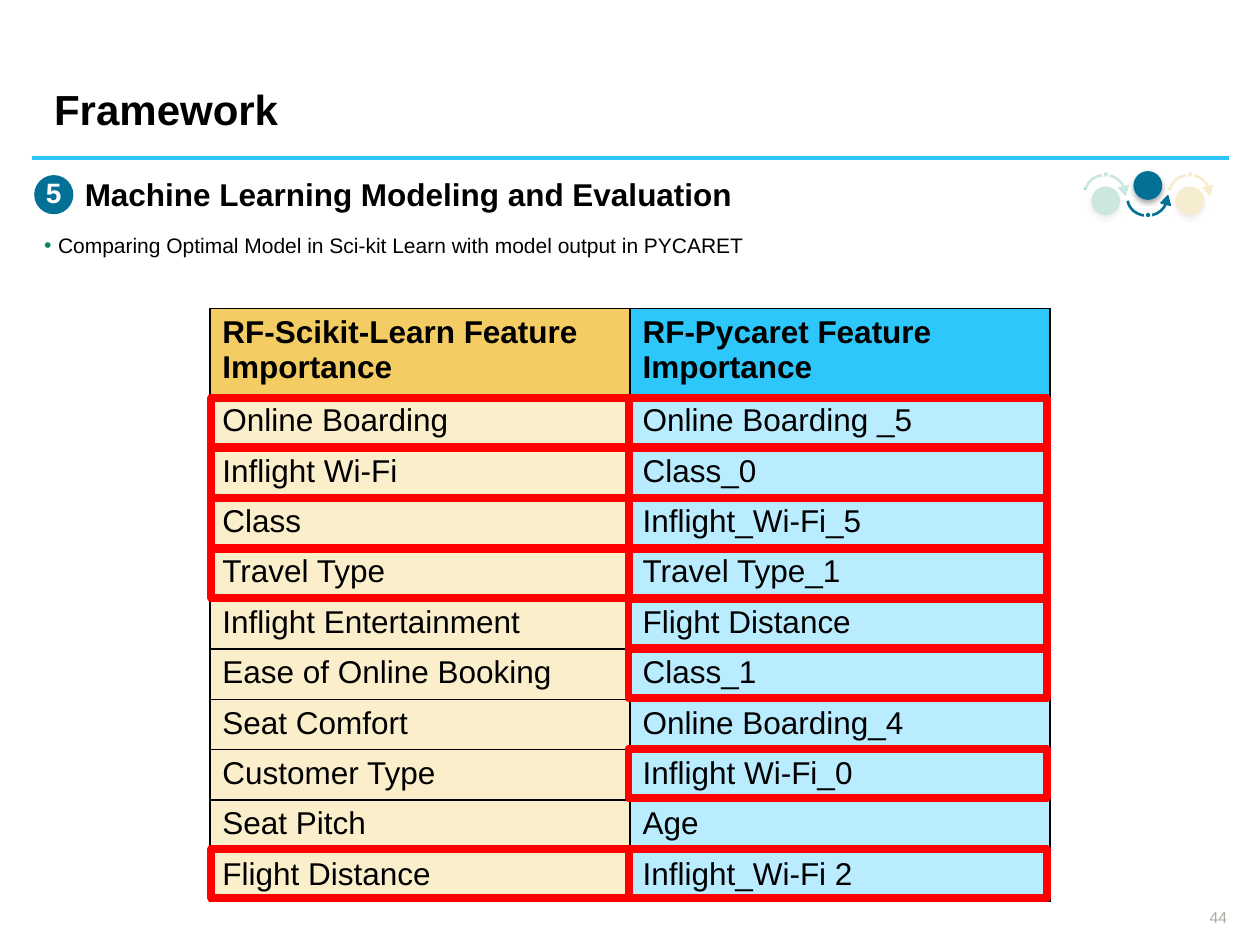
from lxml import etree
from pptx import Presentation
from pptx.dml.color import RGBColor
from pptx.enum import shapes, text
from pptx.oxml import parse_xml
from pptx.oxml.ns import nsdecls, qn
from pptx.util import Cm, Pt

COLORS = {
    "black": "000000", "white": "FFFFFF", "gray": "ADABA1", "red": "FF0000",
    "sky": "2DC5FA", "blue": "037196", "green": "048962", "gold": "D5A111",
    "sklearn_head": "F3CD63", "sklearn_body": "FBEECB",
    "pycaret_head": "2DC7FB", "pycaret_body": "B9ECFE",
}
ROWS = [
    ("RF-Scikit-Learn Feature Importance", "RF-Pycaret Feature Importance"),
    ("Online Boarding", "Online Boarding _5"),
    ("Inflight Wi-Fi", "Class_0"),
    ("Class", "Inflight_Wi-Fi_5"),
    ("Travel Type", "Travel Type_1"),
    ("Inflight Entertainment", "Flight Distance"),
    ("Ease of Online Booking", "Class_1"),
    ("Seat Comfort", "Online Boarding_4"),
    ("Customer Type", "Inflight Wi-Fi_0"),
    ("Seat Pitch", "Age"),
    ("Flight Distance", "Inflight_Wi-Fi 2"),
]
MATCHED_ROWS = [(1, 2, 3, 4, 10), (1, 2, 3, 4, 5, 6, 8, 10)]


def add_preset(kind, left, top, width, height, fill=None, line=None, weight=1):
    """Add a preset shape, measured in cm, without fill or line unless named."""
    shape = slide.shapes.add_shape(kind, Cm(left), Cm(top), Cm(width), Cm(height))
    shape.shadow.inherit = False
    if fill:
        shape.fill.solid()
        shape.fill.fore_color.rgb = RGBColor.from_string(COLORS[fill])
    else:
        shape.fill.background()
    if line:
        shape.line.color.rgb = RGBColor.from_string(COLORS[line])
        shape.line.width = Pt(weight)
    else:
        shape.line.fill.background()
    return shape


def write(frame, words, size, color="black", bold=False, spacing=0.9,
          align=text.PP_ALIGN.LEFT, anchor=text.MSO_ANCHOR.TOP,
          margins=(0, 0, 0, 0), wrap=True):
    """Put one run in a text frame; margins are left, top, right, bottom in cm."""
    frame.auto_size = text.MSO_AUTO_SIZE.NONE
    frame.word_wrap = wrap
    frame.vertical_anchor = anchor
    (frame.margin_left, frame.margin_top,
     frame.margin_right, frame.margin_bottom) = map(Cm, margins)
    paragraph = frame.paragraphs[0]
    paragraph.alignment = align
    paragraph.line_spacing = spacing
    paragraph.space_before = Pt(0)
    run = paragraph.add_run()
    run.text = words
    run.font.name = "Arial"
    run.font.size = Pt(size)
    run.font.bold = bold
    run.font.color.rgb = RGBColor.from_string(COLORS[color])
    return paragraph


prs = Presentation()
prs.slide_width, prs.slide_height = Cm(25.4), Cm(19.05)
slide = prs.slides.add_slide(prs.slide_layouts[1])

# Title, rule and page number
title = slide.shapes.title
title.left, title.top, title.width, title.height = Cm(1.09), Cm(1.8), Cm(21.13), Cm(0.94)
write(title.text_frame, "Framework", 24, bold=True)

rule = slide.shapes.add_connector(
    shapes.MSO_CONNECTOR.STRAIGHT, Cm(0.64), Cm(3.18), Cm(24.77), Cm(3.18))
rule.line.color.rgb = RGBColor.from_string(COLORS["sky"])
rule.line.width = Pt(2.25)
etree.SubElement(rule._element.spPr, qn("a:effectLst"))

page_number = slide.shapes.add_textbox(Cm(24), Cm(18.31), Cm(0.74), Cm(0.38))
write(page_number.text_frame, "44", 9, "gray", spacing=1, wrap=False,
      align=text.PP_ALIGN.RIGHT, anchor=text.MSO_ANCHOR.BOTTOM)

# Progress icon: side steps faded by a veil, current step raised between them
# Tuple: color, ball left, then tops of ball, arc, arrowhead and dot
STEPS = [
    ("green", 22, 3.76, 3.53, 3.76, 3.45),
    ("gold", 23.7, 3.76, 3.53, 3.76, 3.45),
    ("blue", 22.85, 3.45, 3.66, 3.94, 4.27),
]
for color, left, ball_top, arc_top, head_top, dot_top in STEPS:
    current = color == "blue"
    ball = add_preset(shapes.MSO_SHAPE.OVAL, left, ball_top, 0.58, 0.58, color)
    ball._element.spPr.find(qn("a:effectLst")).append(parse_xml(
        f'<a:outerShdw {nsdecls("a")} blurRad="39370" dist="22860" dir="5400000">'
        '<a:srgbClr val="000000"><a:alpha val="35000"/></a:srgbClr></a:outerShdw>'))
    arc = add_preset(shapes.MSO_SHAPE.ARC, left - 0.12, arc_top, 0.79, 0.69,
                     line=color, weight=1.5)
    arc.adjustments[0], arc.adjustments[1] = (5.25, 104.21) if current else (111.79, 210.75)
    head = add_preset(shapes.MSO_SHAPE.ISOSCELES_TRIANGLE, left + 0.57, head_top,
                      0.2, 0.18, color, color, 0.75)
    head.rotation = 14.5 if current else 165.5
    add_preset(shapes.MSO_SHAPE.OVAL, left + 0.23, dot_top, 0.13, 0.13, color, "white")
    if not current:
        veil = add_preset(shapes.MSO_SHAPE.RECTANGLE, left - 0.13, 3.4, 0.92, 1.07, "white")
        veil_color = veil._element.spPr.find(qn("a:solidFill"))[0]
        etree.SubElement(veil_color, qn("a:alpha"), val="80000")

# Numbered section heading
heading = slide.shapes.add_textbox(Cm(0.69), Cm(3.61), Cm(19), Cm(0.69))
write(heading.text_frame, "Machine Learning Modeling and Evaluation", 18, bold=True,
      margins=(1.02, 0, 0, 0))
badge = add_preset(shapes.MSO_SHAPE.OVAL, 0.69, 3.53, 0.79, 0.79, "blue")
write(badge.text_frame, "5", 16, "white", bold=True, wrap=False,
      align=text.PP_ALIGN.CENTER, anchor=text.MSO_ANCHOR.MIDDLE)

# Bullet list
body = slide.placeholders[1]
body.left, body.top, body.width, body.height = Cm(0.69), Cm(4.55), Cm(24.03), Cm(11.18)
bullet = write(
    body.text_frame,
    "Comparing Optimal Model in Sci-kit Learn with model output in PYCARET",
    12, margins=(0.2, 0.2, 0.2, 0.2))
bullet_props = bullet._p.get_or_add_pPr()
bullet_props.set("marL", str(Cm(0.28)))
bullet_props.set("indent", str(Cm(-0.28)))
bullet_color = etree.SubElement(bullet_props, qn("a:buClr"))
etree.SubElement(bullet_color, qn("a:srgbClr"), val=COLORS["green"])
etree.SubElement(bullet_props, qn("a:buFont"), typeface="Arial")
etree.SubElement(bullet_props, qn("a:buChar"), char="•")

# Feature importance table
features = slide.shapes.add_table(
    len(ROWS), 2, Cm(4.23), Cm(6.22), Cm(16.94), Cm(11.94)).table
features.first_row = features.horz_banding = False
for column in features.columns:
    column.width = Cm(8.47)
for r, names in enumerate(ROWS):
    features.rows[r].height = Cm(1.016 if r else 1.78)
    for c, name in enumerate(names):
        cell = features.cell(r, c)
        cell_props = cell._tc.get_or_add_tcPr()
        for side in ("lnL", "lnR", "lnT", "lnB"):
            cell_props.append(parse_xml(
                f'<a:{side} {nsdecls("a")} w="12700"><a:solidFill>'
                f'<a:srgbClr val="{COLORS["black"]}"/></a:solidFill></a:{side}>'))
        cell.fill.solid()
        library = ("sklearn", "pycaret")[c]
        part = "body" if r else "head"
        cell.fill.fore_color.rgb = RGBColor.from_string(COLORS[f"{library}_{part}"])
        run = cell.text_frame.paragraphs[0].add_run()
        run.text = name
        run.font.name = "Arial"
        run.font.size = Pt(18)
        run.font.bold = r == 0
        run.font.color.rgb = RGBColor.from_string(COLORS["black"])

# Red frames around the features that both models rank
for c, matched in enumerate(MATCHED_ROWS):
    for r in matched:
        add_preset(shapes.MSO_SHAPE.RECTANGLE, 4.26 + 8.41 * c, 8.03 + 1.01 * (r - 1),
                   8.43, 0.99, line="red", weight=4.5)

prs.save("out.pptx")
